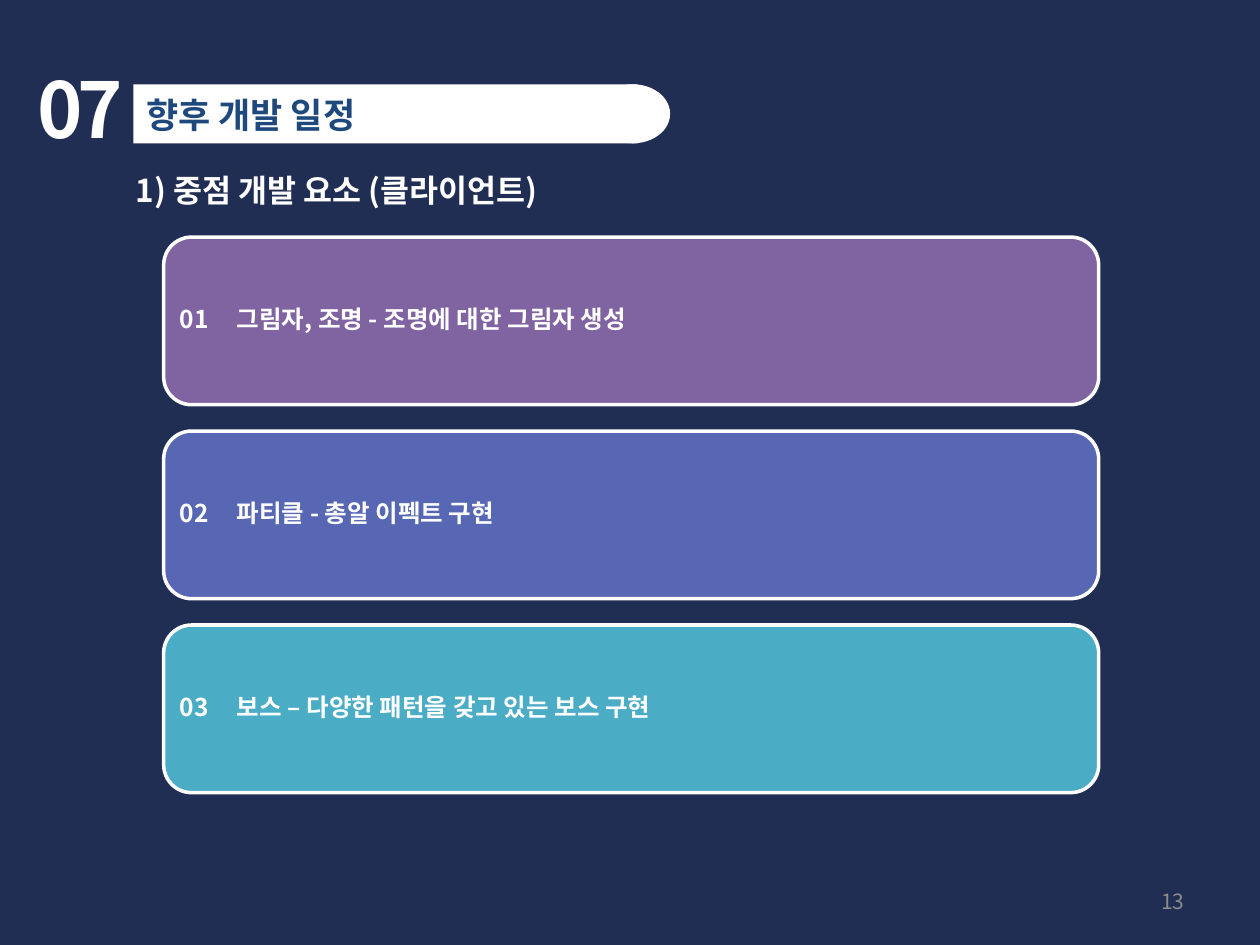
import pptx
import pptx.dml.color
import pptx.enum.shapes
import pptx.enum.text
import pptx.oxml.ns
import pptx.util
from lxml import etree

Cm, Pt = pptx.util.Cm, pptx.util.Pt
SHAPE = pptx.enum.shapes.MSO_SHAPE
ALIGN = pptx.enum.text.PP_ALIGN
ANCHOR = pptx.enum.text.MSO_ANCHOR
qn = pptx.oxml.ns.qn

FONT = "Noto Sans CJK KR"
WHITE, NAVY, BLUE, GREY = "FFFFFF", "212E53", "1F497D", "8C8C8C"

SECTION = "07"
TITLE = "향후 개발 일정"
SUBTITLE = "1) 중점 개발 요소 (클라이언트)"
PAGE = "13"
CARDS = [
    ("01", "그림자, 조명 - 조명에 대한 그림자 생성", "8064A2"),
    ("02", "파티클 - 총알 이펙트 구현", "5767B4"),
    ("03", "보스 – 다양한 패턴을 갖고 있는 보스 구현", "4BACC6"),
]

# Lengths in cm
BAR_LEFT, BAR_TOP, BAR_WIDTH, BAR_HEIGHT, CAP_WIDTH = 2.69, 1.7, 10.16, 1.19, 1.5
CARD_LEFT, CARD_TOP, CARD_WIDTH, CARD_HEIGHT, CARD_GAP = 3.3, 4.78, 18.85, 3.38, 0.53
CARD_INSET, TAB = 0.16, 1.15


def paint(fmt, color):
    """Give a fill a solid colour."""
    fmt.solid()
    fmt.fore_color.rgb = pptx.dml.color.RGBColor.from_string(color)


def add_run(p, text, size, color, bold=True):
    r = p.add_run()
    r.text = text
    r.font.name, r.font.size, r.font.bold = FONT, Pt(size), bold
    paint(r.font.fill, color)
    etree.SubElement(r.font._element, qn("a:ea"), typeface=FONT)
    return r


def add_shape(s, kind, box, color):
    sp = s.shapes.add_shape(kind, *map(Cm, box))
    sp.shadow.inherit = False
    paint(sp.fill, color)
    sp.line.fill.background()
    return sp


def add_text(s, box, text, size, color, bold=True, wrap=True):
    tf = s.shapes.add_textbox(*map(Cm, box)).text_frame
    tf.word_wrap = wrap
    return tf, add_run(tf.paragraphs[0], text, size, color, bold)


def add_title(s):
    cap_left = BAR_LEFT + BAR_WIDTH - CAP_WIDTH / 2 - 0.09
    add_shape(s, SHAPE.RECTANGLE, (BAR_LEFT, BAR_TOP, BAR_WIDTH, BAR_HEIGHT), WHITE)
    add_shape(s, SHAPE.OVAL, (cap_left, BAR_TOP, CAP_WIDTH, BAR_HEIGHT), WHITE)
    title = s.shapes.title
    s.shapes.element.append(title.element)  # in front of the bar
    title.left, title.top = Cm(BAR_LEFT), Cm(1.75)
    title.width, title.height = Cm(9.96), Cm(1.12)
    tf = title.text_frame
    tf.vertical_anchor = ANCHOR.TOP
    tf.auto_size = pptx.enum.text.MSO_AUTO_SIZE.NONE
    p = tf.paragraphs[0]
    p.alignment = ALIGN.LEFT
    add_run(p, TITLE, 20, BLUE)


def add_card(s, index, number, text, color):
    top = CARD_TOP + index * (CARD_HEIGHT + CARD_GAP)
    sp = add_shape(s, SHAPE.ROUNDED_RECTANGLE, (CARD_LEFT, top, CARD_WIDTH, CARD_HEIGHT), color)
    paint(sp.line.fill, WHITE)
    sp.line.width = Pt(2)
    tf = sp.text_frame
    tf.word_wrap = True
    tf.vertical_anchor = ANCHOR.MIDDLE
    tf.margin_left = tf.margin_right = tf.margin_top = tf.margin_bottom = Cm(CARD_INSET)
    p = tf.paragraphs[0]
    p.alignment = ALIGN.LEFT
    p.line_spacing = 0.9
    tabs = etree.SubElement(p._p.get_or_add_pPr(), qn("a:tabLst"))
    etree.SubElement(tabs, qn("a:tab"), pos=str(Cm(TAB)), algn="l")
    add_run(p, f"{number}\t{text}", 14, WHITE)


def main():
    prs = pptx.Presentation()
    prs.slide_width, prs.slide_height = Cm(25.4), Cm(19.05)
    s = prs.slides.add_slide(prs.slide_layouts[5])
    paint(s.background.fill, NAVY)

    _, r = add_text(s, (0.51, 1.12, 2.79, 2.9), SECTION, 44, WHITE)
    r.font._element.set("spc", "-300")
    add_title(s)
    for index, card in enumerate(CARDS):
        add_card(s, index, *card)
    tf, _ = add_text(s, (18.21, 17.65, 5.92, 1.02), PAGE, 12, GREY, bold=False)
    tf.vertical_anchor = ANCHOR.MIDDLE
    tf.paragraphs[0].alignment = ALIGN.RIGHT
    add_text(s, (2.49, 3.33, 9.55, 1.02), SUBTITLE, 18, WHITE, wrap=False)

    prs.save("out.pptx")


if __name__ == "__main__":
    main()
